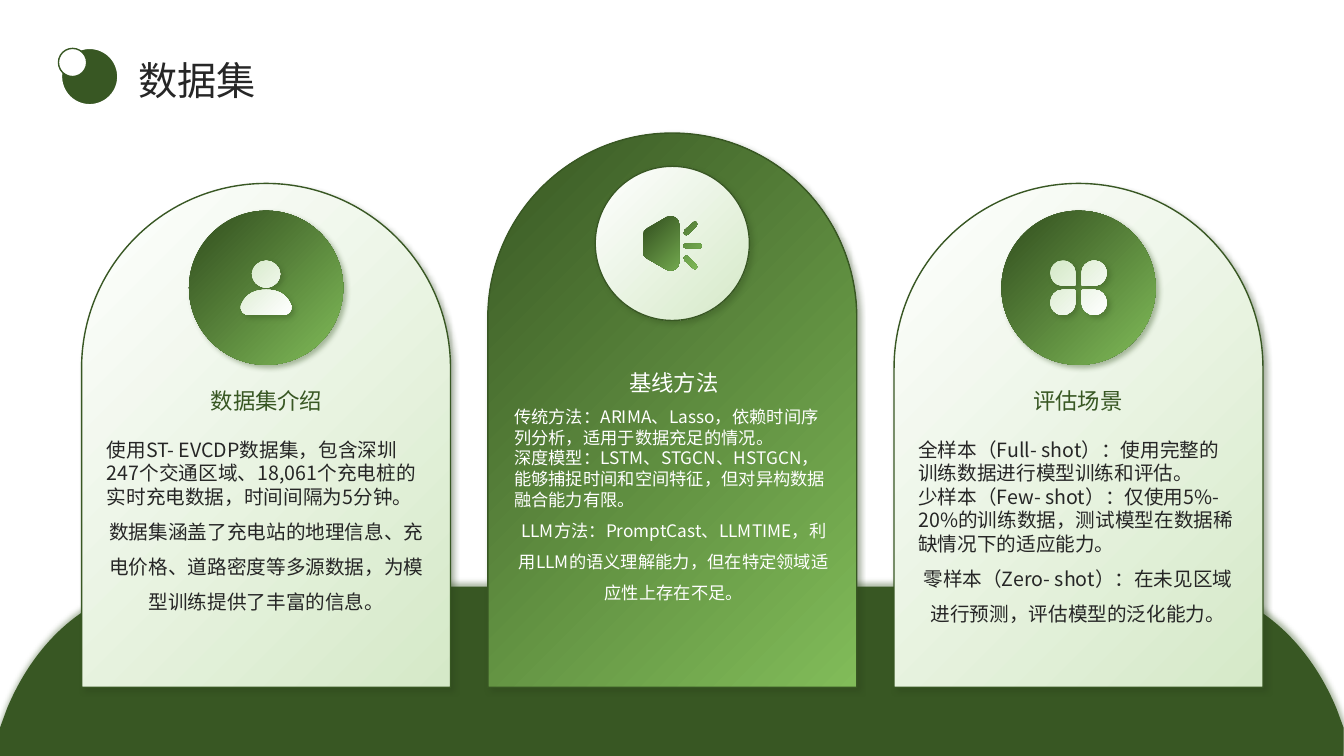
from lxml import etree
from pptx import Presentation
from pptx import util as u
from pptx.dml.color import RGBColor
from pptx.enum import shapes, text
from pptx.oxml.ns import qn

FONT = "Noto Sans CJK SC"
GREEN, INK, WHITE = "385723", "262626", "FFFFFF"
PALE = [(0, WHITE), (1, "D5E9C8")]
GLOW = [(0, "D5E9C8"), (1, WHITE)]
LEAF = [(0, GREEN), (1, "81BC59")]
DEEP = [(0.09, GREEN), (1, "81BC59")]


def paint(sp, fill, line=None, shadow=None, angle=45):
    """Fill with a hex colour or gradient stops; add outline and shadow."""
    if isinstance(fill, str):
        sp.fill.solid()
        sp.fill.fore_color.rgb = RGBColor.from_string(fill)
    else:
        sp.fill.gradient()
        sp.fill.gradient_angle = 315
        for stop, (position, color) in zip(sp.fill.gradient_stops, fill):
            stop.position = position
            stop.color.rgb = RGBColor.from_string(color)
    if line:
        sp.line.width = u.Pt(1)
        sp.line.color.rgb = RGBColor.from_string(line)
    else:
        sp.line.fill.background()
    sp.shadow.inherit = False
    if shadow:
        effects = sp._element.spPr.find(qn("a:effectLst"))
        outer = etree.SubElement(effects, qn("a:outerShdw"), blurRad=str(u.Pt(4)),
                                 dist=str(u.Pt(3)), dir=str(angle * 60000),
                                 algn="ctr", rotWithShape="0")
        color = etree.SubElement(outer, qn("a:srgbClr"), val=shadow)
        etree.SubElement(color, qn("a:alpha"), val="40000")


def outline(paths, x=0, y=0):
    """Build closed paths: pairs are line ends, sextets are Bezier curves."""
    builder = None
    for start, *segments in paths:
        points = [(u.Inches(x + seg[-2]), u.Inches(y + seg[-1]))
                  for seg in (start, *segments)]
        if builder is None:
            builder = s.shapes.build_freeform(*points[0], scale=1.0)
        else:
            builder.move_to(*points[0])
        builder.add_line_segments(points[1:], close=False)
    sp = builder.convert_to_shape()
    # Turn the sextets into curves and close each path
    drawn = iter(list(sp._element.iter(qn("a:lnTo"))))
    for start, *segments in paths:
        for seg in segments:
            node = next(drawn)
            if len(seg) == 6:
                node.tag = qn("a:cubicBezTo")
                node.remove(node[0])
                for cx, cy in zip(seg[::2], seg[1::2]):
                    etree.SubElement(node, qn("a:pt"), x=str(u.Inches(x + cx) - sp.left),
                                     y=str(u.Inches(y + cy) - sp.top))
        node.addnext(etree.Element(qn("a:close")))
    return sp


prs = Presentation()
prs.slide_width, prs.slide_height = u.Emu(12192000), u.Inches(7.5)
s = prs.slides.add_slide(prs.slide_layouts[5])

# Green hill along the bottom
hill = outline([[(1.62, 5.82), (11.71, 5.82), (12.38, 5.82, 12.96, 6.31, 13.26, 7.03),
                 (13.33, 7.22), (13.33, 7.5), (0, 7.5), (0, 7.22), (0.07, 7.03),
                 (0.37, 6.31, 0.95, 5.82, 1.62, 5.82)]])
paint(hill, GREEN, shadow=GREEN, angle=270)

# Icons, measured from the centre of their disc
person = [
    [(0, 0.02), (0.16, 0.02, 0.22, 0.1, 0.25, 0.18), (0.26, 0.23, 0.22, 0.27, 0.17, 0.27),
     (-0.17, 0.27), (-0.22, 0.27, -0.26, 0.23, -0.25, 0.18), (-0.22, 0.1, -0.16, 0.02, 0, 0.02)],
    [(0, -0.27), (0.07, -0.27, 0.14, -0.21, 0.14, -0.14), (0.14, -0.06, 0.07, 0, 0, 0),
     (-0.07, 0, -0.14, -0.06, -0.14, -0.14), (-0.14, -0.21, -0.07, -0.27, 0, -0.27)]]
petal = [(0.04, 0.02), (0.16, 0.02), (0.23, 0.02, 0.28, 0.08, 0.28, 0.15),
         (0.28, 0.21, 0.23, 0.27, 0.16, 0.27), (0.08, 0.27, 0.03, 0.21, 0.03, 0.15),
         (0.03, 0.04), (0.03, 0.03, 0.03, 0.02, 0.04, 0.02)]
clover = [[tuple(v * (sx, sy)[i % 2] for i, v in enumerate(seg)) for seg in petal]
          for sx in (-1, 1) for sy in (-1, 1)]
ray = [(0.14, 0.12), (0.15, 0.12, 0.15, 0.13, 0.16, 0.13), (0.24, 0.21),
       (0.25, 0.22, 0.25, 0.24, 0.24, 0.25), (0.23, 0.26, 0.22, 0.26, 0.21, 0.25),
       (0.12, 0.17), (0.11, 0.15, 0.11, 0.13, 0.14, 0.12)]
horn = [
    ray,
    [tuple(0.04 - v if i % 2 else v for i, v in enumerate(seg)) for seg in ray],
    [(0.14, 0), (0.27, 0), (0.3, 0, 0.3, 0.05, 0.27, 0.05), (0.14, 0.05),
     (0.1, 0.05, 0.1, 0, 0.14, 0)],
    [(-0.02, -0.27), (0.03, -0.27, 0.07, -0.24, 0.07, -0.18), (0.07, 0.18),
     (0.07, 0.24, 0.03, 0.27, -0.02, 0.27), (-0.04, 0.27, -0.05, 0.26, -0.06, 0.26),
     (-0.25, 0.15), (-0.28, 0.14, -0.29, 0.11, -0.29, 0.08), (-0.29, -0.08),
     (-0.29, -0.11, -0.28, -0.14, -0.25, -0.15), (-0.06, -0.26),
     (-0.05, -0.26, -0.04, -0.27, -0.02, -0.27)]]

# Cards: tops of arch, disc, heading and body; body size; colours; icon; wording
side = dict(tops=(1.82, 2.09, 3.36, 4.34), size=14, arch=PALE, disc=DEEP, rim=None,
            icon_fill=GLOW, icon_shadow=GREEN, head=GREEN, ink=INK)
middle = dict(tops=(1.32, 1.65, 3.18, 4.03), size=12.3, arch=LEAF, disc=PALE, rim=GREEN,
              icon_fill=DEEP, icon_shadow=None, head=WHITE, ink=WHITE)
cards = [
    (side, 1.06, person, "数据集介绍", [
        "使用ST- EVCDP数据集，包含深圳247个交通区域、18,061个充电桩的实时充电数据，时间间隔为5分钟。",
        "数据集涵盖了充电站的地理信息、充电价格、道路密度等多源数据，为模型训练提供了丰富的信息。"]),
    (middle, 5.1, horn, "基线方法", [
        "传统方法：ARIMA、Lasso，依赖时间序列分析，适用于数据充足的情况。",
        "深度模型：LSTM、STGCN、HSTGCN，能够捕捉时间和空间特征，但对异构数据融合能力有限。",
        "LLM方法：PromptCast、LLMTIME，利用LLM的语义理解能力，但在特定领域适应性上存在不足。"]),
    (side, 9.11, clover, "评估场景", [
        "全样本（Full- shot）：使用完整的训练数据进行模型训练和评估。",
        "少样本（Few- shot）：仅使用5%- 20%的训练数据，测试模型在数据稀缺情况下的适应能力。",
        "零样本（Zero- shot）：在未见区域进行预测，评估模型的泛化能力。"]),
]
LEFT, PITCH, WIDTH, BASE, DISC, TEXT_WIDTH = 0.81, 4.03, 3.66, 6.82, 1.53, 3.17

boxes = []
for col, (look, text_x, icon, heading, body) in enumerate(cards):
    x = LEFT + col * PITCH
    arch_y, disc_y, head_y, body_y = look["tops"]
    arch = s.shapes.add_shape(shapes.MSO_SHAPE.ROUND_2_SAME_RECTANGLE, u.Inches(x),
                              u.Inches(arch_y), u.Inches(WIDTH), u.Inches(BASE - arch_y))
    arch.adjustments[0], arch.adjustments[1] = 0.5, 0
    paint(arch, look["arch"], GREEN, "2A411A")
    disc = s.shapes.add_shape(shapes.MSO_SHAPE.OVAL, u.Inches(x + (WIDTH - DISC) / 2),
                              u.Inches(disc_y), u.Inches(DISC), u.Inches(DISC))
    paint(disc, look["disc"], look["rim"], GREEN)
    sp = outline(icon, x + WIDTH / 2, disc_y + DISC / 2)
    paint(sp, look["icon_fill"], shadow=look["icon_shadow"])

    # Body and heading
    for y, h, anchor, size, color, lines, spacing in (
            (body_y, 2.39, text.MSO_ANCHOR.TOP, look["size"], look["ink"], body, 1.5),
            (head_y, 0.75, text.MSO_ANCHOR.BOTTOM, 16, look["head"], [heading], 1.3)):
        box = s.shapes.add_textbox(u.Inches(text_x), u.Inches(y),
                                   u.Inches(TEXT_WIDTH), u.Inches(h))
        boxes.append((box, anchor, size, color, lines, text.PP_ALIGN.CENTER, spacing))

# Title
title = s.shapes.title
title.left, title.top = u.Inches(1.37), u.Inches(0.51)
title.width, title.height = u.Inches(11.88), u.Inches(0.51)
boxes.append((title, text.MSO_ANCHOR.MIDDLE, 28, INK, ["数据集"], text.PP_ALIGN.LEFT, 1.1))

# Wording of every box
for box, anchor, size, color, lines, align, spacing in boxes:
    tf = box.text_frame
    tf.word_wrap, tf.auto_size, tf.vertical_anchor = True, text.MSO_AUTO_SIZE.NONE, anchor
    tf.margin_left = tf.margin_right = tf.margin_top = tf.margin_bottom = 0
    p = tf.paragraphs[0]
    p.alignment, p.line_spacing = align, spacing
    r = p.add_run()
    r.text = "\n".join(lines)
    r.font.size, r.font.name = u.Pt(size), FONT
    r.font.color.rgb = RGBColor.from_string(color)
    etree.SubElement(r._r.get_or_add_rPr(), qn("a:ea"), typeface=FONT)

# Two dots beside the title
for x, d, fill, line in ((0.61, 0.56, GREEN, WHITE), (0.58, 0.28, WHITE, GREEN)):
    dot = s.shapes.add_shape(shapes.MSO_SHAPE.OVAL, u.Inches(x), u.Inches(0.48),
                             u.Inches(d), u.Inches(d))
    paint(dot, fill, line)

prs.save("out.pptx")
